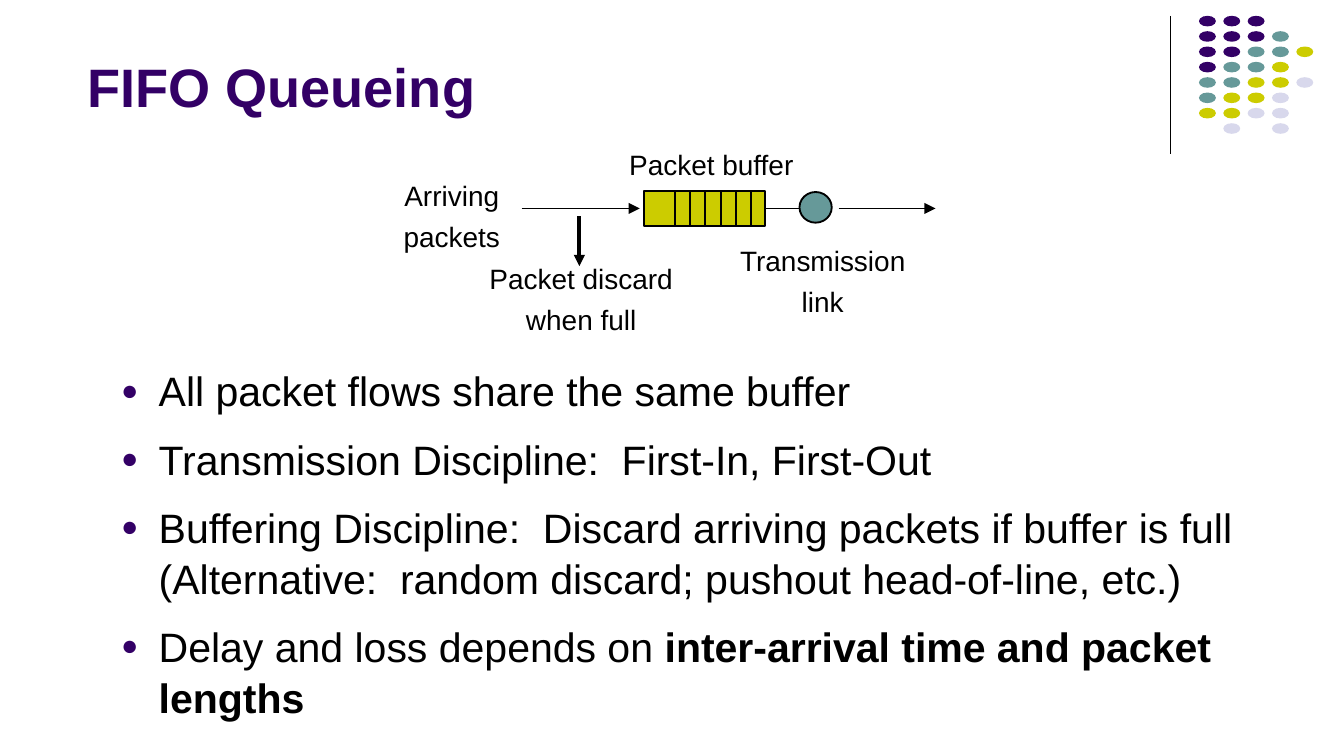
from dataclasses import dataclass

from lxml import etree
from pptx import Presentation
from pptx.dml.color import RGBColor
from pptx.enum.shapes import MSO_CONNECTOR, MSO_SHAPE
from pptx.enum.text import MSO_ANCHOR, MSO_AUTO_SIZE, PP_ALIGN
from pptx.oxml.ns import qn
from pptx.shapes.autoshape import Shape
from pptx.shapes.connector import Connector
from pptx.slide import Slide
from pptx.text.text import TextFrame
from pptx.util import Cm, Pt

STRAIGHT = MSO_CONNECTOR.STRAIGHT
RECTANGLE, ELLIPSE = MSO_SHAPE.RECTANGLE, MSO_SHAPE.OVAL
LEFT, CENTER = PP_ALIGN.LEFT, PP_ALIGN.CENTER
TOP, BOTTOM = MSO_ANCHOR.TOP, MSO_ANCHOR.BOTTOM
RIGHT_SITE = 3


@dataclass(frozen=True)
class Theme:
    font: str = "Arial"
    purple: str = "330066"
    teal: str = "669999"
    olive: str = "CCCC00"
    lavender: str = "D8D8EC"
    black: str = "000000"
    title_size: int = 29
    body_size: int = 22
    label_size: int = 15


@dataclass(frozen=True)
class Box:
    left: float
    top: float
    width: float
    height: float


@dataclass(frozen=True)
class Label:
    box: Box
    lines: tuple[str, ...]


@dataclass(frozen=True)
class Line:
    x1: float
    y1: float
    x2: float
    y2: float
    weight: float = 1
    arrow: bool = False


THEME = Theme()
MIDDLE = 3.94  # height of the packet path
BUFFER = Box(12.17, 3.61, 2.29, 0.66)
SERVER = Box(15.11, 3.63, 0.61, 0.58)
DIVIDER_START, DIVIDER_STEP, DIVIDER_COUNT = 12.75, 0.29, 6

LABELS = (
    Label(Box(11.68, 2.69, 3.53, 0.84), ("Packet buffer",)),
    Label(Box(13.77, 4.5, 3.56, 1.6), ("Transmission", "link")),
    Label(Box(7.42, 3.28, 2.24, 1.6), ("Arriving", "packets")),
    Label(Box(9.04, 4.85, 3.89, 1.6), ("Packet discard", "when full")),
)
ARROWS = (
    Line(15.85, MIDDLE, 17.68, MIDDLE, arrow=True),
    Line(9.86, MIDDLE, 12.09, MIDDLE, arrow=True),
    Line(10.95, 4.09, 10.95, 5.03, weight=2, arrow=True),
)

# Each bullet is a list of (text, bold) spans
BULLETS = (
    (("All packet flows share the same buffer", False),),
    (("Transmission Discipline:  First-In, First-Out", False),),
    (("Buffering Discipline:  Discard arriving packets if buffer is full "
      "(Alternative:  random discard; pushout head-of-line, etc.)", False),),
    (("Delay and loss depends on ", False),
     ("inter-arrival time and packet lengths", True)),
)

DOT_COLOURS = {"P": THEME.purple, "T": THEME.teal,
               "Y": THEME.olive, "L": THEME.lavender}
DOT_ROWS = ("PPP..", "PPPT.", "PPTTY", "PTTY.",
            "TTYYL", "TYYL.", "YYLL.", ".L.L.")


def place(shape: Shape, box: Box) -> None:
    shape.left, shape.top = Cm(box.left), Cm(box.top)
    shape.width, shape.height = Cm(box.width), Cm(box.height)


def set_frame(frame: TextFrame, anchor: MSO_ANCHOR, wrap: bool) -> None:
    frame.margin_left = frame.margin_right = Cm(0.18)
    frame.margin_top = frame.margin_bottom = Cm(0.1)
    frame.vertical_anchor = anchor
    frame.auto_size = MSO_AUTO_SIZE.NONE if wrap else MSO_AUTO_SIZE.SHAPE_TO_FIT_TEXT
    frame.word_wrap = wrap


def set_font(font, size: int, colour: str) -> None:
    font.name = THEME.font
    font.size = Pt(size)
    font.color.rgb = RGBColor.from_string(colour)


def add_filled(page: Slide, kind: MSO_SHAPE, box: Box, fill: str,
               outlined: bool = False) -> Shape:
    shape = page.shapes.add_shape(kind, Cm(box.left), Cm(box.top),
                                  Cm(box.width), Cm(box.height))
    shape.shadow.inherit = False
    shape.fill.solid()
    shape.fill.fore_color.rgb = RGBColor.from_string(fill)
    if outlined:
        shape.line.color.rgb = RGBColor.from_string(THEME.black)
        shape.line.width = Pt(1)
    else:
        shape.line.fill.background()
    return shape


def add_line(page: Slide, line: Line) -> Connector:
    connector = page.shapes.add_connector(
        STRAIGHT, Cm(line.x1), Cm(line.y1), Cm(line.x2), Cm(line.y2))
    connector.line.color.rgb = RGBColor.from_string(THEME.black)
    connector.line.width = Pt(line.weight)
    if line.arrow:
        outline = connector.line._get_or_add_ln()
        etree.SubElement(outline, qn("a:tailEnd"), type="triangle")
    etree.SubElement(connector._element.spPr, qn("a:effectLst"))
    return connector


def add_label(page: Slide, label: Label) -> None:
    box = label.box
    frame = page.shapes.add_textbox(Cm(box.left), Cm(box.top),
                                    Cm(box.width), Cm(box.height)).text_frame
    set_frame(frame, TOP, wrap=False)
    frame.text = "\n".join(label.lines)
    for index, para in enumerate(frame.paragraphs):
        para.alignment = CENTER
        para.space_before = Pt(4 if index else 0)
        set_font(para.font, THEME.label_size, THEME.black)


def add_bullet(para) -> None:
    properties = para._p.get_or_add_pPr()
    properties.set("marL", str(Cm(0.71)))
    properties.set("indent", str(-Cm(0.71)))
    colour = etree.SubElement(properties, qn("a:buClr"))
    etree.SubElement(colour, qn("a:srgbClr"), val=THEME.purple)
    etree.SubElement(properties, qn("a:buSzPct"), val="70000")
    etree.SubElement(properties, qn("a:buFont"), typeface=THEME.font)
    etree.SubElement(properties, qn("a:buChar"), char="●")


def fill_title(page: Slide) -> None:
    title = page.shapes.title
    place(title, Box(1.47, 0.99, 15.57, 1.35))
    set_frame(title.text_frame, BOTTOM, wrap=True)
    title.text_frame.text = "FIFO Queueing"
    para = title.text_frame.paragraphs[0]
    para.alignment = LEFT
    set_font(para.font, THEME.title_size, THEME.purple)
    para.font.bold = True


def fill_body(page: Slide) -> None:
    body = page.placeholders[1]
    place(body, Box(2.11, 6.78, 23.11, 6.07))
    frame = body.text_frame
    set_frame(frame, TOP, wrap=True)
    for index, spans in enumerate(BULLETS):
        para = frame.add_paragraph() if index else frame.paragraphs[0]
        add_bullet(para)
        para.space_before = Pt(9 if index else 0)
        para.line_spacing = 1.04
        set_font(para.font, THEME.body_size, THEME.black)
        for text, bold in spans:
            span = para.add_run()
            span.text = text
            if bold:
                span.font.bold = True


def draw_ornament(page: Slide) -> None:
    add_line(page, Line(22.12, 0.3, 22.12, 2.92, weight=0.75))
    for row, codes in enumerate(DOT_ROWS):
        for column, code in enumerate(codes):
            if code in DOT_COLOURS:
                dot = Box(22.66 + 0.46 * column, 0.3 + 0.29 * row, 0.32, 0.2)
                add_filled(page, ELLIPSE, dot, DOT_COLOURS[code])


def draw_queue(page: Slide) -> None:
    buffer = add_filled(page, RECTANGLE, BUFFER, THEME.olive, outlined=True)
    for index in range(DIVIDER_COUNT):
        x = DIVIDER_START + index * DIVIDER_STEP
        add_line(page, Line(x, BUFFER.top, x, BUFFER.top + BUFFER.height))
    add_filled(page, ELLIPSE, SERVER, THEME.teal, outlined=True)
    link = add_line(page, Line(BUFFER.left + BUFFER.width, MIDDLE, SERVER.left, MIDDLE))
    link.begin_connect(buffer, RIGHT_SITE)
    for arrow in ARROWS:
        add_line(page, arrow)
    for label in LABELS:
        add_label(page, label)


def main() -> None:
    deck = Presentation()
    deck.slide_width, deck.slide_height = Cm(25.4), Cm(14.29)
    page = deck.slides.add_slide(deck.slide_layouts[1])
    # Title and list
    fill_title(page)
    fill_body(page)
    # Corner decoration and queue diagram
    draw_ornament(page)
    draw_queue(page)
    deck.save("out.pptx")


if __name__ == "__main__":
    main()
